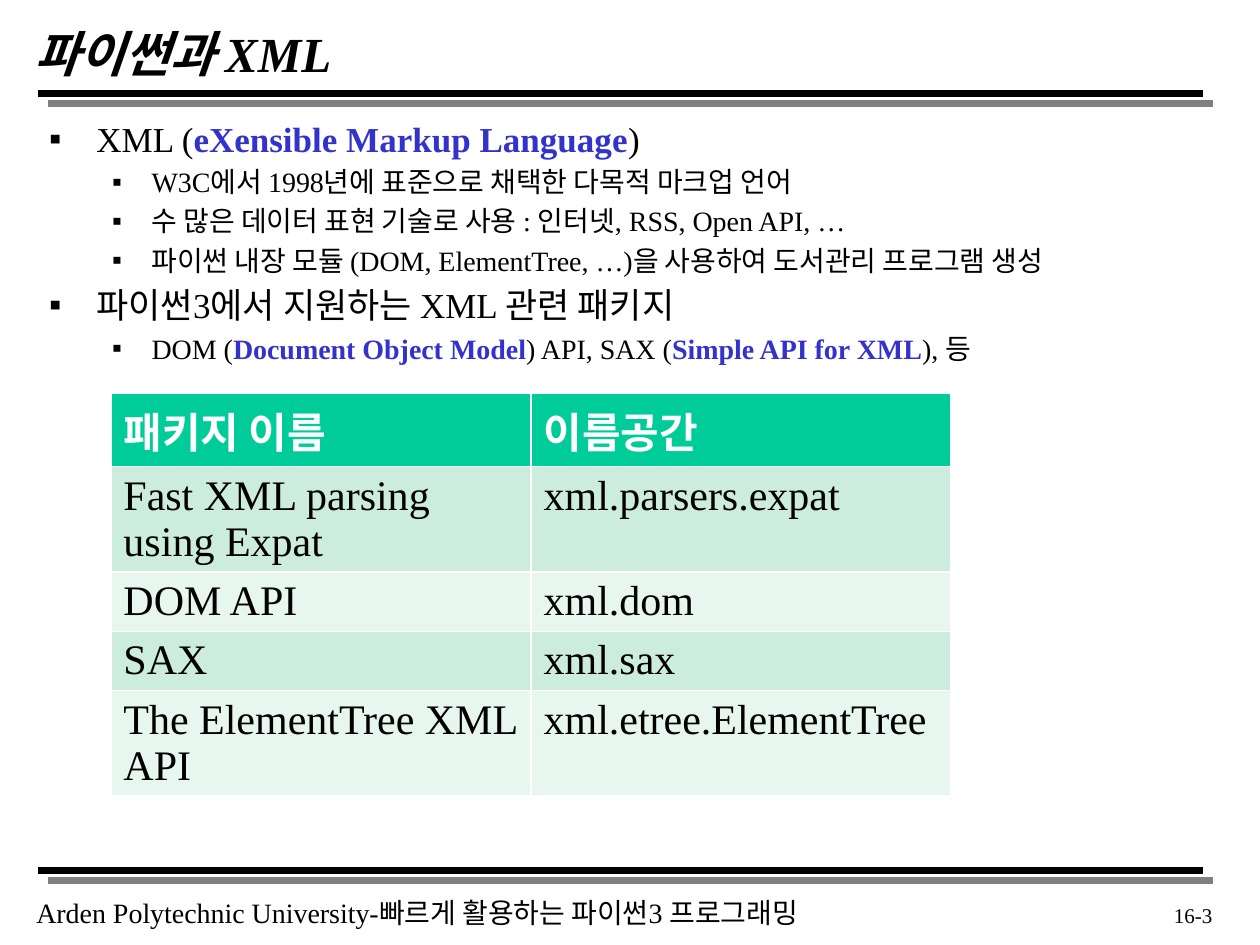
from dataclasses import dataclass

from lxml import etree
from pptx import Presentation
from pptx.dml.color import RGBColor
from pptx.enum.shapes import MSO_CONNECTOR
from pptx.enum.text import MSO_ANCHOR, MSO_AUTO_SIZE, PP_ALIGN
from pptx.oxml.ns import qn
from pptx.slide import Slide
from pptx.util import Inches, Pt

STRAIGHT = MSO_CONNECTOR.STRAIGHT
MIDDLE, TOP = MSO_ANCHOR.MIDDLE, MSO_ANCHOR.TOP
NO_FIT = MSO_AUTO_SIZE.NONE
LEFT, RIGHT = PP_ALIGN.LEFT, PP_ALIGN.RIGHT


@dataclass(frozen=True)
class Theme:
    face: str = "Times New Roman"
    ink: RGBColor = RGBColor(0, 0, 0)
    paper: RGBColor = RGBColor(255, 255, 255)
    shade: RGBColor = RGBColor(0x80, 0x80, 0x80)
    key: RGBColor = RGBColor(0x33, 0x33, 0xCC)
    head: RGBColor = RGBColor(0x00, 0xCC, 0x99)
    bands: tuple = (RGBColor(0xCC, 0xEC, 0xDE), RGBColor(0xE7, 0xF6, 0xEF))
    title: int = 28
    levels: tuple = (20, 16)
    cell: int = 24
    foot: int = 16
    page: int = 12


@dataclass(frozen=True)
class Box:
    left: float
    top: float
    width: float
    height: float

    def lengths(self) -> tuple:
        return tuple(map(Inches, (self.left, self.top, self.width, self.height)))


@dataclass(frozen=True)
class Point:
    level: int
    text: str  # key terms stand between asterisks


THEME = Theme()

POINTS = (
    Point(0, "XML (*eXensible Markup Language*)"),
    Point(1, "W3C에서 1998년에 표준으로 채택한 다목적 마크업 언어"),
    Point(1, "수 많은 데이터 표현 기술로 사용 : 인터넷, RSS, Open API, …"),
    Point(1, "파이썬 내장 모듈 (DOM, ElementTree, …)을 사용하여 도서관리 프로그램 생성"),
    Point(0, "파이썬3에서 지원하는 XML 관련 패키지"),
    Point(1, "DOM (*Document Object Model*) API, SAX (*Simple API for XML*), 등"),
)

ROWS = (
    ("패키지 이름", "이름공간"),
    ("Fast XML parsing using Expat", "xml.parsers.expat"),
    ("DOM API", "xml.dom"),
    ("SAX", "xml.sax"),
    ("The ElementTree XML API", "xml.etree.ElementTree"),
)


def set_font(para, size: int, color: RGBColor = THEME.ink, bold: bool = False) -> None:
    font = para.font
    font.name, font.size, font.bold = THEME.face, Pt(size), bold
    font.color.rgb = color


def place(shape, box: Box) -> None:
    shape.left, shape.top, shape.width, shape.height = box.lengths()


def add_line(slide: Slide, left: float, top: float, color: RGBColor) -> None:
    x, y = Inches(left), Inches(top)
    line = slide.shapes.add_connector(STRAIGHT, x, y, x + Inches(9.25), y)
    line.line.color.rgb = color
    line.line.width = Pt(4)
    etree.SubElement(line._element.spPr, qn("a:effectLst"))


def add_rule(slide: Slide, top: float) -> None:
    """Black rule with a grey one behind it, down and to the right."""
    gap = 0.08
    add_line(slide, 0.3 + gap, top + gap, THEME.shade)
    add_line(slide, 0.3, top, THEME.ink)


def add_title(slide: Slide, text: str, box: Box) -> None:
    title = slide.shapes.title
    place(title, box)
    frame = title.text_frame
    frame.text = text
    frame.auto_size, frame.vertical_anchor = NO_FIT, MIDDLE
    para = frame.paragraphs[0]
    para.alignment = LEFT
    set_font(para, THEME.title, bold=True)
    para.font.italic = True


def add_points(slide: Slide, points: tuple, box: Box) -> None:
    body = slide.placeholders[1]
    place(body, box)
    frame = body.text_frame
    frame.auto_size, frame.vertical_anchor = NO_FIT, TOP
    for i, point in enumerate(points):
        para = frame.add_paragraph() if i else frame.paragraphs[0]
        para.level = point.level
        etree.SubElement(para._p.get_or_add_pPr(), qn("a:buChar"), char="▪")
        set_font(para, THEME.levels[point.level])
        for j, part in enumerate(point.text.split("*")):
            run = para.add_run()
            run.text = part
            if j % 2:
                run.font.bold = True
                run.font.color.rgb = THEME.key


def add_grid(slide: Slide, rows: tuple, box: Box) -> None:
    frame = slide.shapes.add_table(len(rows), len(rows[0]), *box.lengths())
    for r, row in enumerate(rows):
        fill = THEME.bands[(r - 1) % 2] if r else THEME.head
        color = THEME.ink if r else THEME.paper
        for c, text in enumerate(row):
            cell = frame.table.cell(r, c)
            cell.text = text
            cell.fill.solid()
            cell.fill.fore_color.rgb = fill
            set_font(cell.text_frame.paragraphs[0], THEME.cell, color, bold=r == 0)


def add_label(slide: Slide, text: str, box: Box, size: int, align=LEFT) -> None:
    frame = slide.shapes.add_textbox(*box.lengths()).text_frame
    frame.word_wrap = True
    frame.text = text
    para = frame.paragraphs[0]
    para.alignment = align
    set_font(para, size)


def main() -> None:
    deck = Presentation()
    deck.slide_width, deck.slide_height = Inches(10), Inches(7.5)
    slide = deck.slides.add_slide(deck.slide_layouts[1])

    # Rules under the title and above the footer
    for top in (0.74, 6.91):
        add_rule(slide, top)

    # Title, list and table
    add_title(slide, "파이썬과 XML", Box(0.17, 0.17, 8.5, 0.5))
    add_points(slide, POINTS, Box(0.29, 0.88, 9.38, 5.63))
    add_grid(slide, ROWS, Box(0.88, 3.12, 6.67, 2.03))

    # Footer and page number
    add_label(slide, "Arden Polytechnic University-빠르게 활용하는 파이썬3 프로그래밍",
              Box(0.19, 7.06, 6.6, 0.37), THEME.foot)
    add_label(slide, "16-3", Box(8.89, 7.11, 0.83, 0.32), THEME.page, RIGHT)

    deck.save("out.pptx")


if __name__ == "__main__":
    main()
